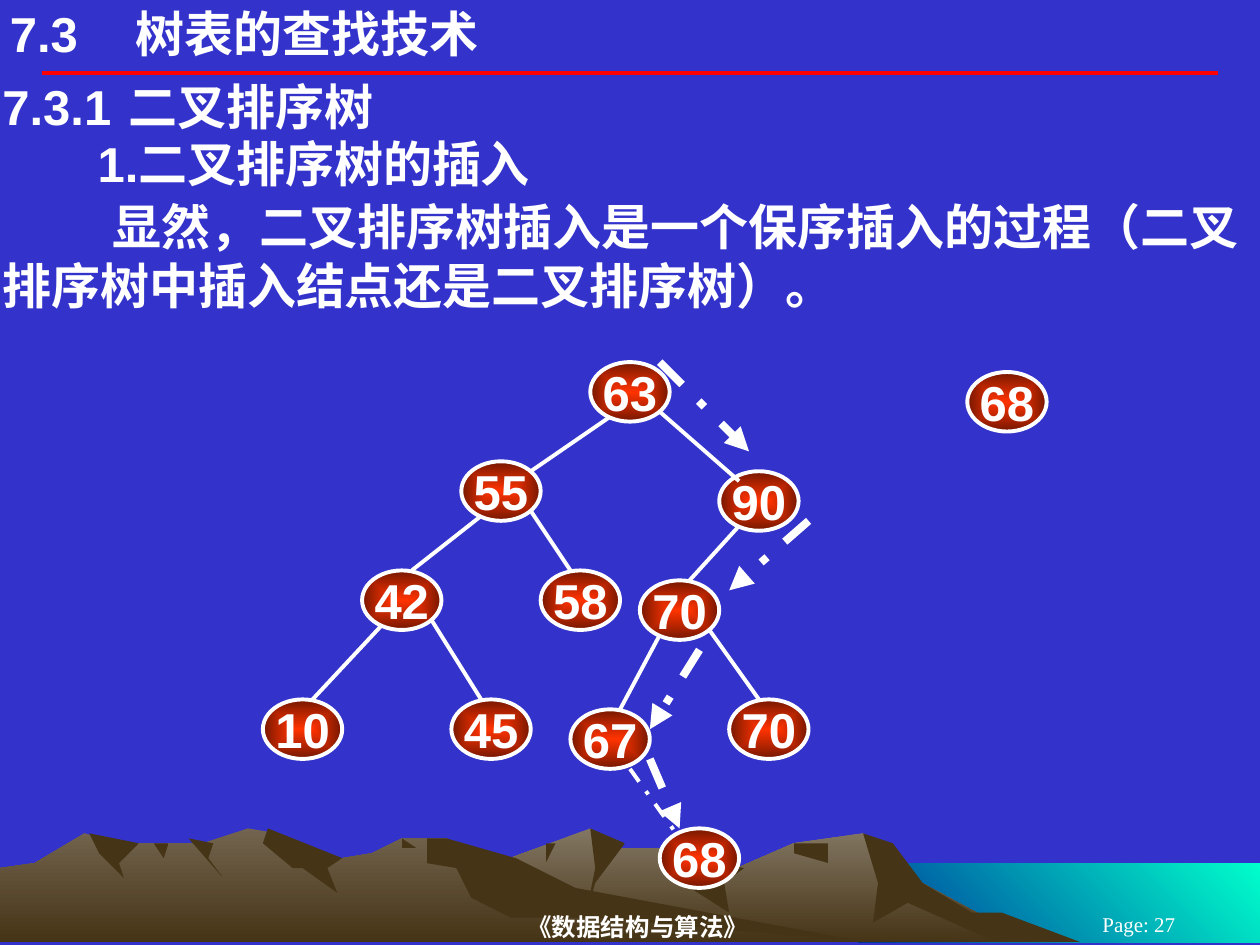
from lxml import etree
from pptx import Presentation
from pptx.dml.color import RGBColor
from pptx.enum.dml import MSO_LINE
from pptx.enum.shapes import MSO_CONNECTOR, MSO_SHAPE
from pptx.enum.text import MSO_ANCHOR, PP_ALIGN
from pptx.oxml import parse_xml
from pptx.oxml.ns import nsdecls, qn
from pptx.util import Cm, Pt

COLORS = {
    "sky": "3333CC", "white": "FFFFFF", "rule": "FF0000",
    "sea_light": "00FFCC", "sea_dark": "003399",
    "rock_back": "837763", "rock_front": "72644E", "rock_dark": "463416",
    "node_core": "FF3300", "node_rim": "751700",
}
RGB = {name: RGBColor.from_string(value) for name, value in COLORS.items()}

deck = Presentation()
deck.slide_width, deck.slide_height = Cm(25.4), Cm(19.05)
page = deck.slides.add_slide(deck.slide_layouts[6])
page.background.fill.solid()
page.background.fill.fore_color.rgb = RGB["sky"]


def blend(fill, first, last, angle=0):
    """Two-colour linear gradient; the angle runs counter-clockwise."""
    fill.gradient()
    fill.gradient_angle = angle
    for stop, name, position in zip(fill.gradient_stops, (first, last), (0, 1)):
        stop.color.rgb = RGB[name]
        stop.position = position


def add_line(start, end, color="white", width=2.25, dash=None, arrow=False):
    line = page.shapes.add_connector(MSO_CONNECTOR.STRAIGHT, *map(Cm, start + end))
    line.line.color.rgb = RGB[color]
    line.line.width = Pt(width)
    if dash:
        line.line.dash_style = dash
    if arrow:
        etree.SubElement(line.line._get_or_add_ln(), qn("a:tailEnd"), type="triangle")
    etree.SubElement(line._element.spPr, qn("a:effectLst"))


# Landscape: (fill, outline), with points in millimetres
DARK = ("rock_dark", "rock_dark", 0)
landscape = [
    (("sea_light", "sea_dark", 225), [(254, 190), (173, 190), (173, 174), (254, 174)]),
    (("rock_back", "rock_dark", 270), [
        (208, 190), (184, 177), (174, 168), (160, 170), (144, 177), (136, 175), (134, 171),
        (123, 171), (119, 167), (111, 170), (100, 174), (83, 180), (66, 190)]),
    (DARK, [
        (174, 168), (180, 170), (186, 178), (196, 184), (202, 184), (218, 190), (201, 190),
        (183, 182), (176, 186), (177, 178)]),
    (DARK, [(119, 167), (126, 170), (120, 178), (118, 185), (120, 175)]),
    (DARK, [(134, 172), (150, 175), (146, 178), (147, 184), (136, 177)]),
    (DARK, [(160, 170), (167, 170), (167, 174), (160, 172)]),
    (DARK, [(110, 170), (112, 170), (110, 174)]),
    (("rock_front", "rock_dark", 270), [
        (175, 190), (110, 181), (90, 169), (81, 169), (75, 172), (69, 173), (60, 173),
        (56, 168), (50, 167), (41, 170), (24, 170), (17, 168), (7, 174), (0, 175), (0, 190)]),
    (DARK, [
        (54, 167), (69, 173), (66, 175), (68, 180), (61, 175), (59, 175), (53, 170)]),
    (DARK, [
        (86, 169), (90, 169), (104, 173), (116, 179), (175, 190), (120, 185), (103, 185),
        (95, 181), (92, 175), (86, 174)]),
    (DARK, [(81, 169), (84, 171), (81, 171)]),
    (DARK, [(38, 169), (43, 170), (42, 173), (45, 177)]),
    (DARK, [(31, 170), (34, 170), (33, 173)]),
    (DARK, [(18, 168), (28, 170), (24, 174), (25, 177), (20, 172)]),
]
for paint, (first_point, *other_points) in landscape:
    builder = page.shapes.build_freeform(*first_point, scale=Cm(0.1))
    builder.add_line_segments(other_points)
    outline = builder.convert_to_shape()
    outline.shadow.inherit = False
    outline.line.fill.background()
    blend(outline.fill, *paint)

add_line((0.84, 1.47), (24.56, 1.47), "rule")

# Tree nodes: name -> (left, top); the key shown is the first two characters
NODE_WIDTH, NODE_HEIGHT = 1.6, 1.2
nodes = {
    "63": (11.9, 7.3), "55": (9.3, 9.3), "90": (14.5, 9.5), "42": (7.3, 11.5),
    "58": (10.9, 11.5), "70": (12.9, 11.7), "10": (5.3, 14.1), "45": (9.1, 14.1),
    "67": (11.5, 14.3), "70 leaf": (14.7, 14.1),
    "68 new": (19.5, 7.5), "68 placed": (13.3, 16.7),
}
for name, (left, top) in nodes.items():
    node = page.shapes.add_shape(
        MSO_SHAPE.OVAL, Cm(left), Cm(top), Cm(NODE_WIDTH), Cm(NODE_HEIGHT))
    node.shadow.inherit = False
    blend(node.fill, "node_core", "node_rim")
    linear = node._element.spPr.find(".//" + qn("a:lin"))
    linear.getparent().replace(linear, parse_xml(
        f'<a:path {nsdecls("a")} path="rect">'
        '<a:fillToRect l="50000" t="50000" r="50000" b="50000"/></a:path>'))
    node.line.color.rgb = RGB["white"]
    node.line.width = Pt(2.25)
    frame = node.text_frame
    frame.word_wrap = False
    frame.vertical_anchor = MSO_ANCHOR.MIDDLE
    para = frame.paragraphs[0]
    para.text = name[:2]
    para.alignment = PP_ALIGN.CENTER
    para.font.name, para.font.size, para.font.bold = "Arial", Pt(28), True
    para.font.color.rgb = RGB["white"]

# Branches leave the lower rim of the parent and reach the upper rim of the child
children = {
    "63": ("55", "90"), "55": ("42", "58"), "90": ("70",),
    "42": ("10", "45"), "70": ("67", "70 leaf"),
}
for parent, pair in children.items():
    left, top = nodes[parent]
    for child in pair:
        child_left, child_top = nodes[child]
        goes_left = child_left < left
        leave = (left + 0.4, top + 1.1) if goes_left else (left + 1.4, top + 1)
        if parent == "63":
            reach = (child_left + (1.4 if goes_left else 0.4), child_top + 0.2)
        else:
            reach = (child_left + (1 if goes_left else 0.6), child_top)
        add_line(leave, reach)

add_line((12.7, 15.5), (13.7, 16.9), dash=MSO_LINE.DASH_DOT)
search_path = [
    ((13.3, 7.3), (15.1, 9.1)), ((16.3, 10.5), (14.7, 11.9)),
    ((14.1, 13.1), (13.1, 14.7)), ((13.1, 15.3), (13.7, 16.7)),
]
for start, end in search_path:
    add_line(start, end, width=4.5, dash=MSO_LINE.DASH_DOT, arrow=True)

# Headings and body: (text, place, side inset, first-line indent, tab stop)
headings = [
    ("7.3\t树表的查找技术", (0.2, 0.08, 16.5, 1.2), 0, 0, 2.16),
    ("7.3.1\t二叉排序树", (0, 1.52, 25.4, 1.25), 0.05, 0, 3.23),
    ("1.二叉排序树的插入", (0, 2.67, 25.3, 1.25), 0.05, 1.92, None),
    ("显然，二叉排序树插入是一个保序插入的过程（二叉排序树中插入结点还是二叉排序树）。",
     (0, 3.94, 25.3, 2.44), 0.05, 2.22, None),
]
for text, place, inset, indent, tab in headings:
    frame = page.shapes.add_textbox(*map(Cm, place)).text_frame
    frame.word_wrap = True
    frame.margin_left = frame.margin_right = Cm(inset)
    frame.margin_top = frame.margin_bottom = Cm(inset / 2)
    para = frame.paragraphs[0]
    para.text = text
    settings = para._p.get_or_add_pPr()
    settings.set("indent", str(Cm(indent)))
    if tab:
        stops = etree.SubElement(settings, qn("a:tabLst"))
        etree.SubElement(stops, qn("a:tab"), pos=str(Cm(tab)), algn="l")
    para.font.name, para.font.size, para.font.bold = "Arial", Pt(28), True
    para.font.color.rgb = RGB["white"]

footers = [
    ("《数据结构与算法》", (5.16, 18.34, 15.4, 0.7), 14, True),
    ("Page: 27", (20.95, 18.42, 4.02, 0.43), 12, False),
]
for text, place, size, bold in footers:
    frame = page.shapes.add_textbox(*map(Cm, place)).text_frame
    frame.word_wrap = True
    frame.vertical_anchor = MSO_ANCHOR.MIDDLE
    frame.margin_top = frame.margin_bottom = 0
    para = frame.paragraphs[0]
    para.text = text
    para.alignment = PP_ALIGN.CENTER
    para.font.name, para.font.size, para.font.bold = "Times New Roman", Pt(size), bold
    para.font.color.rgb = RGB["white"]

deck.save("out.pptx")
